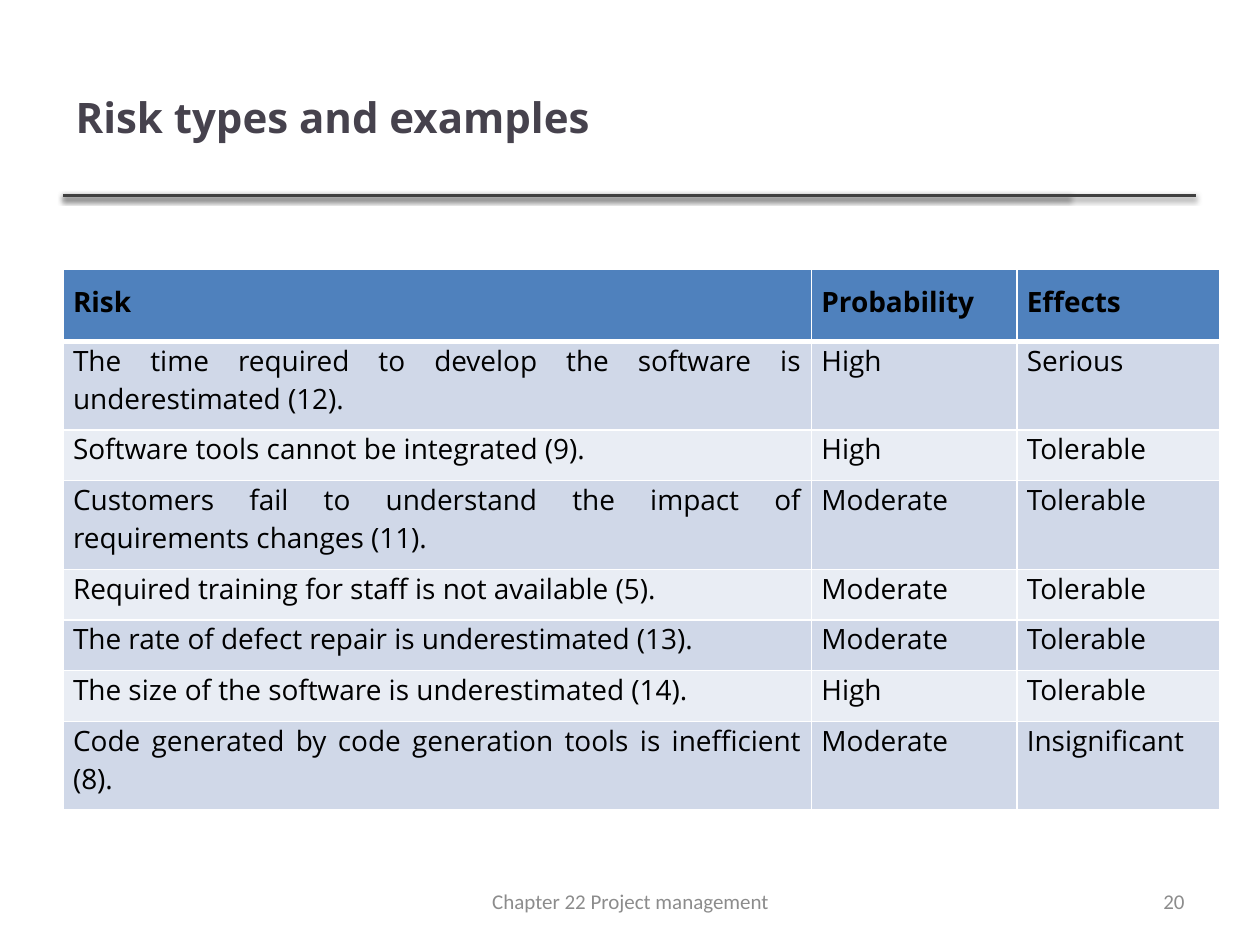
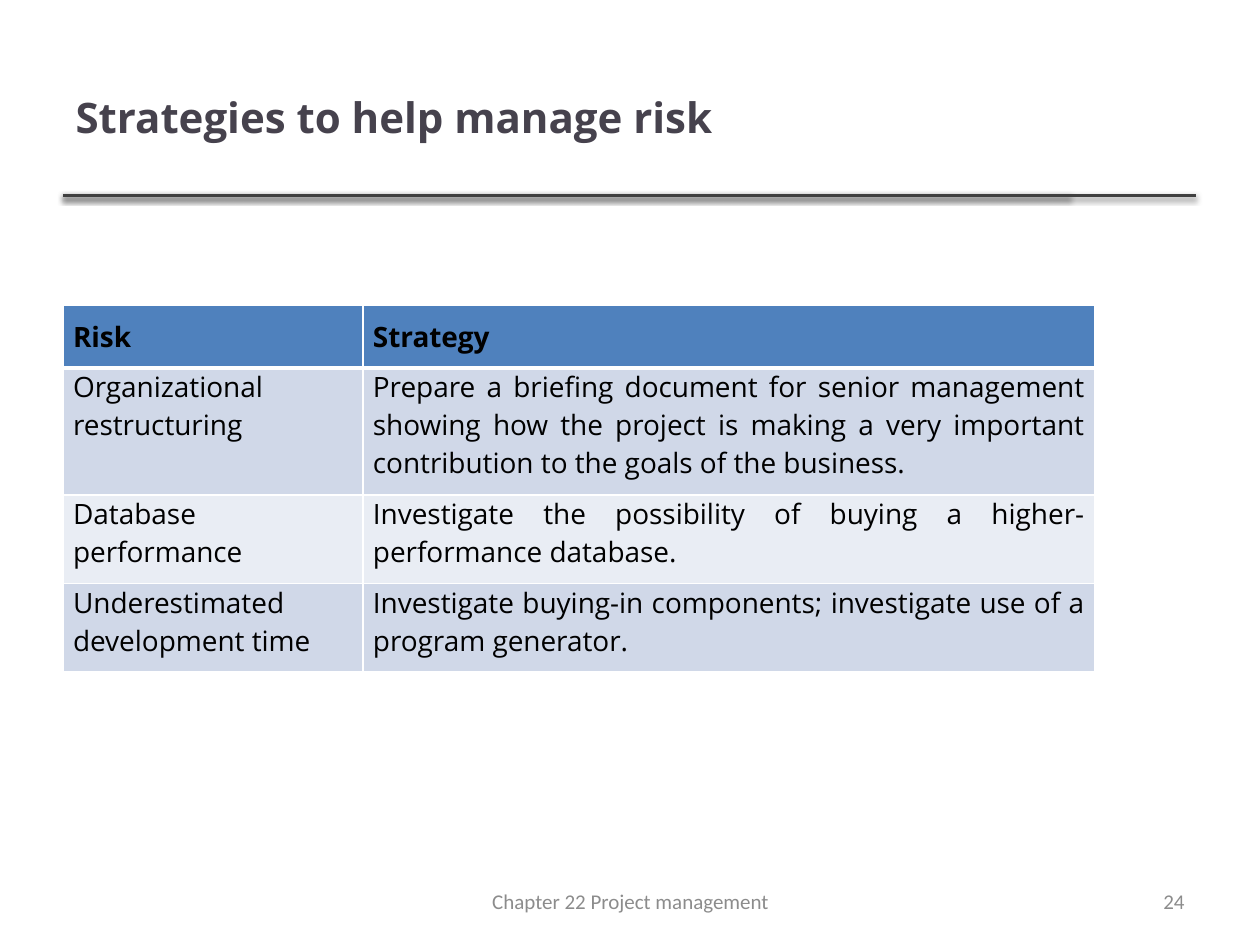
from dataclasses import dataclass

from lxml.etree import SubElement
from pptx import Presentation
from pptx.dml.color import RGBColor
from pptx.enum.shapes import MSO_CONNECTOR
from pptx.enum.text import MSO_ANCHOR, PP_ALIGN
from pptx.oxml.ns import qn
from pptx.slide import Slide
from pptx.table import _Cell
from pptx.text.text import _Paragraph
from pptx.util import Inches, Pt

COLORS = {
    "title": "46424D",
    "rule": "404040",
    "shadow": "000000",
    "header": "4F81BD",
    "band_dark": "D0D8E8",
    "band_light": "E9EDF4",
    "border": "FFFFFF",
    "cell_text": "000000",
    "footer": "8C8C8C",
}
FONTS = {
    "title": {"name": "Open Sans", "size": Pt(24), "bold": True},
    "header": {"name": "Open Sans", "size": Pt(16), "bold": True},
    "body": {"name": "Open Sans", "size": Pt(16), "bold": False},
    "footer": {"name": "Calibri", "size": Pt(12), "bold": False},
}
MARGIN = 0.5
RULE_TOP = 1.55
RULE_ENDS = (8.49, 9.49)
FOOTER_TEXT = "Chapter 22 Project management"
TITLE_ONLY_LAYOUT = 5


@dataclass(frozen=True)
class RiskTable:
    top: float
    column_widths: tuple[float, ...]
    row_heights: tuple[float, ...]
    rows: tuple[tuple[str, ...], ...]
    first_column_align: PP_ALIGN


@dataclass(frozen=True)
class RiskSlide:
    title: str
    number: int
    table: RiskTable


RISK_SLIDES = (
    RiskSlide("Risk types and examples", 20, RiskTable(
        top=2.14,
        column_widths=(5.94, 1.63, 1.61),
        row_heights=(0.57, 0.47, 0.4, 0.47, 0.4, 0.4, 0.4, 0.47),
        rows=(
            ("Risk", "Probability", "Effects"),
            ("The time required to develop the software is underestimated (12).",
             "High", "Serious"),
            ("Software tools cannot be integrated (9).", "High", "Tolerable"),
            ("Customers fail to understand the impact of requirements changes (11).",
             "Moderate", "Tolerable"),
            ("Required training for staff is not available (5).",
             "Moderate", "Tolerable"),
            ("The rate of defect repair is underestimated (13).",
             "Moderate", "Tolerable"),
            ("The size of the software is underestimated (14).",
             "High", "Tolerable"),
            ("Code generated by code generation tools is inefficient (8).",
             "Moderate", "Insignificant"),
        ),
        first_column_align=PP_ALIGN.JUSTIFY,
    )),
    RiskSlide("Strategies to help manage risk", 24, RiskTable(
        top=2.42,
        column_widths=(2.38, 5.81),
        row_heights=(0.41,) * 4,
        rows=(
            ("Risk", "Strategy"),
            ("Organizational restructuring",
             "Prepare a briefing document for senior management showing how the "
             "project is making a very important contribution to the goals of "
             "the business."),
            ("Database performance",
             "Investigate the possibility of buying a higher-performance database."),
            ("Underestimated development time",
             "Investigate buying-in components; investigate use of a program "
             "generator."),
        ),
        first_column_align=PP_ALIGN.LEFT,
    )),
)


def rgb(name: str) -> RGBColor:
    return RGBColor.from_string(COLORS[name])


def write(paragraph: _Paragraph, text: str, font: str, color: str,
          align: PP_ALIGN) -> None:
    paragraph.alignment = align
    run = paragraph.add_run()
    run.text = text
    for attribute, value in FONTS[font].items():
        setattr(run.font, attribute, value)
    run.font.color.rgb = rgb(color)


def add_title(slide: Slide, text: str) -> None:
    title = slide.shapes.title
    title.left, title.top = Inches(MARGIN), Inches(0.3)
    title.width, title.height = Inches(7.98), Inches(1.25)
    title.text_frame.vertical_anchor = MSO_ANCHOR.MIDDLE
    write(title.text_frame.paragraphs[0], text, "title", "title", PP_ALIGN.LEFT)


def add_title_rules(slide: Slide) -> None:
    """Draw the two overlapping shadowed lines under the title."""
    for end in RULE_ENDS:
        rule = slide.shapes.add_connector(
            MSO_CONNECTOR.STRAIGHT, Inches(MARGIN), Inches(RULE_TOP),
            Inches(end), Inches(RULE_TOP))
        rule.line.color.rgb = rgb("rule")
        rule.line.width = Pt(2)
        effects = SubElement(rule._element.spPr, qn("a:effectLst"))
        shadow = SubElement(effects, qn("a:outerShdw"), {
            "blurRad": str(Pt(3.1)), "dist": str(Pt(1.6)),
            "dir": "5400000", "rotWithShape": "0"})
        tint = SubElement(shadow, qn("a:srgbClr"), val=COLORS["shadow"])
        SubElement(tint, qn("a:alpha"), val="38000")


def set_borders(cell: _Cell, row: int) -> None:
    """Give thin white borders, with a thicker line below the header row."""
    properties = cell._tc.get_or_add_tcPr()
    widths = {"lnL": 1, "lnR": 1,
              "lnT": 3 if row == 1 else 1, "lnB": 3 if row == 0 else 1}
    for side, width in widths.items():
        border = SubElement(properties, qn(f"a:{side}"), w=str(Pt(width)))
        fill = SubElement(border, qn("a:solidFill"))
        SubElement(fill, qn("a:srgbClr"), val=COLORS["border"])


def format_cell(cell: _Cell, row: int) -> None:
    margins = {
        "margin_left": Inches(0.08),
        "margin_right": Inches(0.08),
        "margin_top": Inches(0 if row else 0.1),
        "margin_bottom": Inches(0.1),
    }
    for attribute, value in margins.items():
        setattr(cell, attribute, value)
    set_borders(cell, row)
    band = "band_dark" if row % 2 else "band_light"
    cell.fill.solid()
    cell.fill.fore_color.rgb = rgb(band if row else "header")


def add_risk_table(slide: Slide, content: RiskTable) -> None:
    table = slide.shapes.add_table(
        len(content.rows), len(content.column_widths),
        Inches(MARGIN), Inches(content.top),
        Inches(sum(content.column_widths)), Inches(sum(content.row_heights))).table
    for column, width in zip(table.columns, content.column_widths):
        column.width = Inches(width)
    for table_row, height in zip(table.rows, content.row_heights):
        table_row.height = Inches(height)
    for row, texts in enumerate(content.rows):
        for column, text in enumerate(texts):
            cell = table.cell(row, column)
            format_cell(cell, row)
            align = (content.first_column_align if row and column == 0
                     else PP_ALIGN.JUSTIFY)
            write(cell.text_frame.paragraphs[0], text,
                  "body" if row else "header", "cell_text", align)


def add_footer(slide: Slide, left: float, width: float, text: str,
               align: PP_ALIGN) -> None:
    frame = slide.shapes.add_textbox(
        Inches(left), Inches(6.95), Inches(width), Inches(0.4)).text_frame
    frame.word_wrap = True
    frame.vertical_anchor = MSO_ANCHOR.MIDDLE
    write(frame.paragraphs[0], text, "footer", "footer", align)


def main() -> None:
    deck = Presentation()
    deck.slide_width, deck.slide_height = Inches(10), Inches(7.5)
    for content in RISK_SLIDES:
        slide = deck.slides.add_slide(deck.slide_layouts[TITLE_ONLY_LAYOUT])
        add_title_rules(slide)
        add_title(slide, content.title)
        add_risk_table(slide, content.table)
        add_footer(slide, 3.42, 3.17, FOOTER_TEXT, PP_ALIGN.CENTER)
        add_footer(slide, 7.17, 2.33, str(content.number), PP_ALIGN.RIGHT)
    deck.save("out.pptx")


if __name__ == "__main__":
    main()
